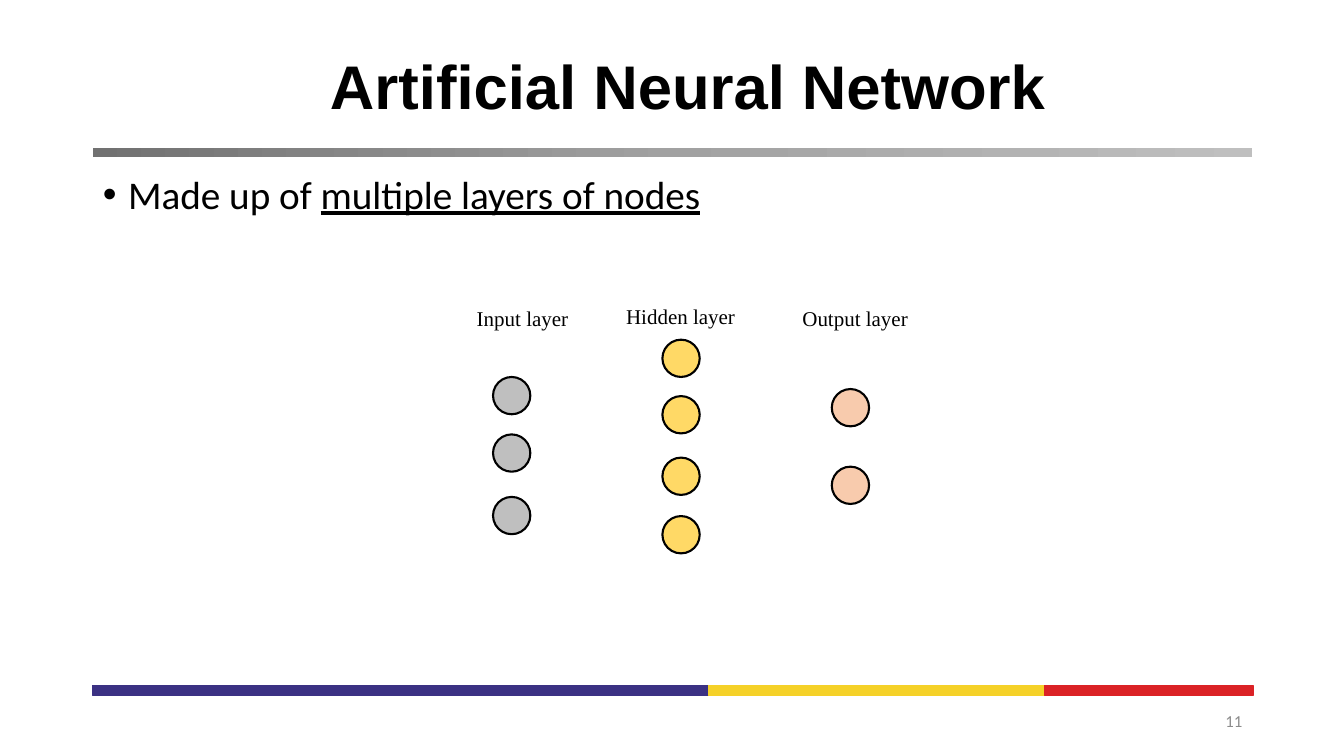
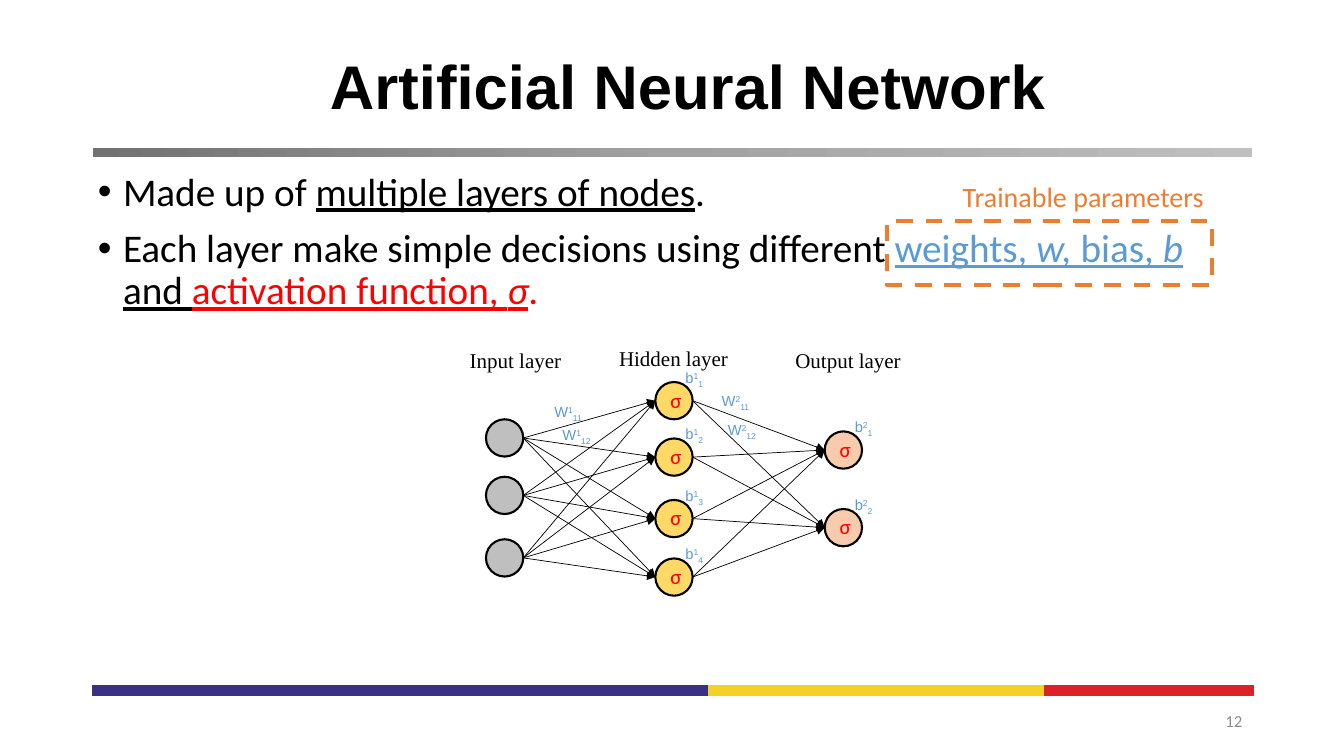
from copy import deepcopy
from dataclasses import dataclass

from lxml import etree
from pptx import Presentation
from pptx.dml.color import RGBColor
from pptx.enum.dml import MSO_LINE
from pptx.enum.shapes import MSO_CONNECTOR, MSO_SHAPE
from pptx.enum.text import MSO_ANCHOR, MSO_AUTO_SIZE, PP_ALIGN
from pptx.oxml.ns import qn
from pptx.util import Emu, Inches, Pt

RECTANGLE, OVAL = MSO_SHAPE.RECTANGLE, MSO_SHAPE.OVAL
STRAIGHT, DASH = MSO_CONNECTOR.STRAIGHT, MSO_LINE.DASH
LEFT, CENTER, RIGHT = PP_ALIGN.LEFT, PP_ALIGN.CENTER, PP_ALIGN.RIGHT
TOP, MIDDLE = MSO_ANCHOR.TOP, MSO_ANCHOR.MIDDLE
NO_FIT = MSO_AUTO_SIZE.NONE

BLACK = RGBColor(0x00, 0x00, 0x00)
RED = RGBColor(0xFF, 0x00, 0x00)
BLUE = RGBColor(0x5B, 0x9B, 0xD5)
ORANGE = RGBColor(0xED, 0x7D, 0x31)
PAGE_GRAY = RGBColor(0x8C, 0x8C, 0x8C)
RULE_GRAYS = [RGBColor(0x71, 0x71, 0x71), RGBColor(0xA1, 0xA1, 0xA1), RGBColor(0xBF, 0xBF, 0xBF)]
INPUT_GRAY = RGBColor(0xBF, 0xBF, 0xBF)
HIDDEN_YELLOW = RGBColor(0xFF, 0xD9, 0x66)
OUTPUT_PEACH = RGBColor(0xF8, 0xCB, 0xAD)
FOOTER_BANDS = [
    (6.11, RGBColor(0x3B, 0x31, 0x83)),
    (3.33, RGBColor(0xF5, 0xD1, 0x28)),
    (2.07, RGBColor(0xDB, 0x22, 0x26)),
]

SANS, BODY, SERIF = "Arial", "Calibri", "Times New Roman"
MARGIN, CONTENT_WIDTH = 0.92, 11.5
NODE_SIZE, LAYER_PITCH = 0.37, 1.68
FIRST_PAGE = 11


@dataclass
class Layer:
    """A column of nodes; offsets are measured from the network's corner."""
    label: str
    label_box: tuple
    alignment: PP_ALIGN
    fill: RGBColor
    node_tops: list


LAYERS = [
    Layer("Input layer", (-0.26, -0.39, 1.22, 0.35), LEFT, INPUT_GRAY, [0.37, 0.94, 1.56]),
    Layer("Hidden layer", (1.15, -0.41, 1.42, 0.35), CENTER, HIDDEN_YELLOW, [0, 0.56, 1.17, 1.75]),
    Layer("Output layer", (2.97, -0.39, 1.44, 0.35), LEFT, OUTPUT_PEACH, [0.49, 1.26]),
]
WEIGHTS = [
    (0.58, 0.16, "1", "11"),
    (0.66, 0.39, "1", "12"),
    (2.24, 0.05, "2", "11"),
    (2.30, 0.34, "2", "12"),
]


def inches(*lengths):
    return [Inches(length) for length in lengths]


def add_runs(paragraph, runs):
    """Add (text, format) pairs; a format may hold color, underline, italic and baseline."""
    for text, style in runs:
        run = paragraph.add_run()
        run.text = text
        run.font.underline = style.get("underline")
        run.font.italic = style.get("italic")
        if "color" in style:
            run.font.color.rgb = style["color"]
        if "baseline" in style:
            run._r.get_or_add_rPr().set("baseline", str(style["baseline"] * 1000))


def set_font(paragraph, name, size, color, bold=None):
    font = paragraph.font
    font.name, font.size, font.bold = name, Pt(size), bold
    font.color.rgb = color


def add_text(slide, box, runs, name, size, color, alignment=LEFT, anchor=TOP):
    frame = slide.shapes.add_textbox(*inches(*box)).text_frame
    frame.word_wrap = True
    frame.vertical_anchor = anchor
    paragraph = frame.paragraphs[0]
    paragraph.alignment = alignment
    set_font(paragraph, name, size, color)
    add_runs(paragraph, runs)


def add_shape(slide, kind, box, fill, line, width):
    shape = slide.shapes.add_shape(kind, *inches(*box))
    shape.shadow.inherit = False
    if fill is None:
        shape.fill.background()
    else:
        shape.fill.solid()
        shape.fill.fore_color.rgb = fill
    shape.line.color.rgb = line
    shape.line.width = Pt(width)
    return shape


def add_arrow(slide, start, end):
    arrow = slide.shapes.add_connector(STRAIGHT, *inches(*start, *end))
    arrow.line.color.rgb = BLACK
    arrow.line.width = Pt(0.5)
    properties = arrow.element.spPr
    etree.SubElement(properties.find(qn("a:ln")), qn("a:tailEnd"), type="triangle")
    etree.SubElement(properties, qn("a:effectLst"))


def add_title_rule(slide):
    rule = add_shape(slide, RECTANGLE, (MARGIN, 1.47, CONTENT_WIDTH, 0.09), None, BLACK, 1)
    rule.line.fill.background()
    rule.fill.gradient()
    rule.fill.gradient_angle = 0
    stop_list = rule.element.find(".//" + qn("a:gsLst"))
    stop_list.insert(1, deepcopy(stop_list[0]))
    for index, (stop, gray) in enumerate(zip(rule.fill.gradient_stops, RULE_GRAYS)):
        stop.position = index / 2
        stop.color.rgb = gray
    return rule


def add_footer_bands(slide):
    bands, left = [], MARGIN
    for width, color in FOOTER_BANDS:
        bands.append(add_shape(slide, RECTANGLE, (left, 6.8, width, 0.1), color, color, 1))
        left += width
    return bands


def move_to_layout(shapes, layout):
    """Make the given slide shapes part of the layout, behind its placeholders."""
    tree = layout.shapes.element
    for offset, shape in enumerate(shapes):
        shape.element.nvSpPr.cNvPr.set("id", str(100 + offset))
        tree.insert(2 + offset, shape.element)


def add_content_slide(presentation, layout, page, body_box, bullets):
    slide = presentation.slides.add_slide(layout)
    title, body = slide.placeholders
    title.left, title.top, title.width, title.height = inches(MARGIN, 0.32, 11.81, 1.13)
    title.text_frame.text = "Artificial Neural Network"
    title.text_frame.vertical_anchor = MIDDLE
    title.text_frame.auto_size = NO_FIT
    heading = title.text_frame.paragraphs[0]
    heading.alignment = CENTER
    heading.line_spacing = 0.9
    set_font(heading, SANS, 44, BLACK, bold=True)

    body.left, body.top, body.width, body.height = inches(*body_box)
    frame = body.text_frame
    frame.auto_size = NO_FIT
    for index, runs in enumerate(bullets):
        paragraph = frame.add_paragraph() if index else frame.paragraphs[0]
        paragraph.line_spacing = 0.9
        paragraph.space_before = Pt(10)
        properties = paragraph._p.get_or_add_pPr()
        properties.set("marL", str(Inches(0.25)))
        properties.set("indent", str(Emu(-Inches(0.25))))
        set_font(paragraph, BODY, 28, BLACK)
        add_runs(paragraph, runs)

    add_text(slide, (9.42, 6.95, 3, 0.4), [(str(page), {})], BODY, 12, PAGE_GRAY, RIGHT, MIDDLE)
    return slide


def add_network(slide, left, top):
    """Draw labels and nodes; return the node corners of each layer."""
    corners = []
    for column, layer in enumerate(LAYERS):
        label_left, label_top, width, height = layer.label_box
        add_text(slide, (left + label_left, top + label_top, width, height),
                 [(layer.label, {})], SERIF, 15, BLACK, layer.alignment)
        nodes = [(left + column * LAYER_PITCH, top + node_top) for node_top in layer.node_tops]
        for node in nodes:
            add_shape(slide, OVAL, (*node, NODE_SIZE, NODE_SIZE), layer.fill, BLACK, 1.5)
        corners.append(nodes)
    return corners


def add_edges(slide, corners):
    middle = NODE_SIZE / 2
    for sources, targets in zip(corners, corners[1:]):
        for source_left, source_top in sources:
            for target_left, target_top in targets:
                add_arrow(slide, (source_left + NODE_SIZE, source_top + middle),
                          (target_left, target_top + middle))


def add_parameter(slide, left, top, symbol, upper, lower):
    runs = [(symbol, {}), (upper, {"baseline": 30}), (lower, {"baseline": -25})]
    add_text(slide, (left, top, 0.58, 0.28), runs, SANS, 10.5, BLUE)


def add_parameters(slide, left, top, corners):
    for weight_left, weight_top, upper, lower in WEIGHTS:
        add_parameter(slide, left + weight_left, top + weight_top, "W", upper, lower)
    for layer_number, nodes in enumerate(corners[1:], 1):
        for node_number, (node_left, node_top) in enumerate(nodes, 1):
            add_text(slide, (node_left + 0.05, node_top, 0.44, 0.35), [("σ", {})], BODY, 15, RED)
            add_parameter(slide, node_left + 0.2, node_top - 0.18, "b",
                          str(layer_number), str(node_number))


def add_trainable_callout(slide, left, top):
    add_text(slide, (left + 0.65, top, 3.01, 0.44), [("Trainable parameters", {})],
             BODY, 20, ORANGE)
    frame = add_shape(slide, RECTANGLE, (left, top + 0.46, 3.22, 0.64), None, ORANGE, 3)
    frame.line.dash_style = DASH


def add_layers_slide(presentation, layout):
    bullets = [[("Made up of ", {}), ("multiple layers of nodes", {"underline": True})]]
    slide = add_content_slide(presentation, layout, FIRST_PAGE, (MARGIN, 1.69, 8.62, 3.74), bullets)
    add_network(slide, 4.89, 3.37)
    return slide


def add_parameters_slide(presentation, layout):
    underlined = {"underline": True}
    blue = {"underline": True, "color": BLUE}
    blue_italic = {**blue, "italic": True}
    red = {"underline": True, "color": RED}
    bullets = [
        [("Made up of ", {}), ("multiple layers of nodes", underlined), (".", {})],
        [
            ("Each layer make simple decisions using different ", {}),
            ("weights, ", blue), ("w, ", blue_italic), ("bias, ", blue), ("b", blue_italic),
            (" ", blue), ("and ", underlined), ("activation function, ", red),
            ("σ", {**red, "italic": True}), (".", {"color": RED}),
        ],
    ]
    slide = add_content_slide(presentation, layout, FIRST_PAGE + 1, (0.87, 1.66, 11.54, 3.76), bullets)
    left, top = 4.82, 3.79
    corners = add_network(slide, left, top)
    add_edges(slide, corners)
    add_parameters(slide, left, top, corners)
    add_trainable_callout(slide, 8.8, 1.73)


def main():
    presentation = Presentation()
    presentation.slide_width, presentation.slide_height = inches(13.33, 7.5)
    layout = presentation.slide_layouts[1]
    first_slide = add_layers_slide(presentation, layout)
    move_to_layout([add_title_rule(first_slide), *add_footer_bands(first_slide)], layout)
    add_parameters_slide(presentation, layout)
    presentation.save("out.pptx")


if __name__ == "__main__":
    main()
